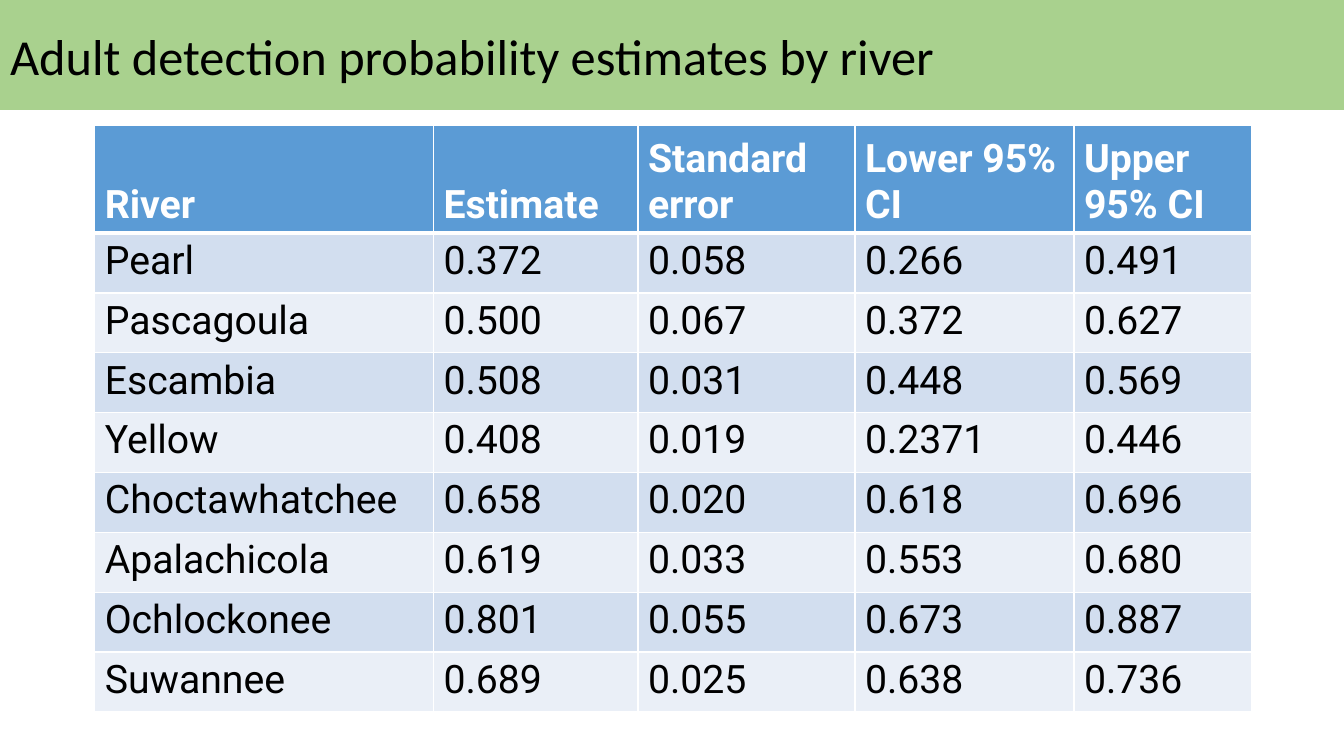
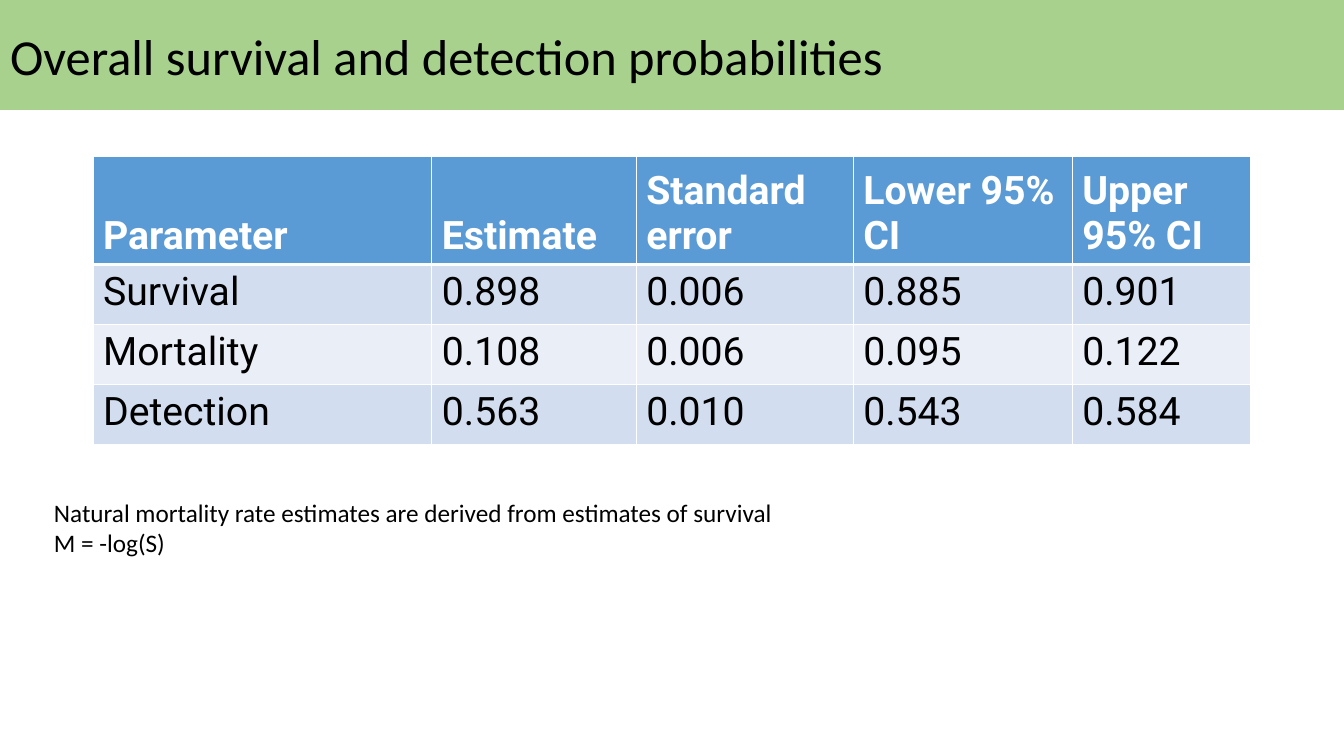
from pptx import Presentation
from pptx.dml.color import RGBColor
from pptx.enum.text import MSO_ANCHOR, MSO_AUTO_SIZE, PP_ALIGN
from pptx.oxml import parse_xml
from pptx.oxml.ns import nsdecls
from pptx.util import Pt

GREEN = RGBColor(0xA9, 0xD1, 0x8E)
BLUE = RGBColor(0x5B, 0x9B, 0xD5)
BANDS = RGBColor(0xD2, 0xDE, 0xEF), RGBColor(0xEA, 0xEF, 0xF7)
WHITE = RGBColor(0xFF, 0xFF, 0xFF)
BLACK = RGBColor(0, 0, 0)

WIDTH, HEIGHT = 960, 540
BAR = 78.5
COLS = [242, 146, 155, 156.5, 127]
HEAD, ROW = 77, 42.75

STATS = ["Estimate", "Standard error", "Lower 95% CI", "Upper 95% CI"]
SLIDES = [
    {
        "title": "Adult detection probability estimates by river",
        "at": (67.7, 89.5),
        "rows": [
            ["River", *STATS],
            ["Pearl", "0.372", "0.058", "0.266", "0.491"],
            ["Pascagoula", "0.500", "0.067", "0.372", "0.627"],
            ["Escambia", "0.508", "0.031", "0.448", "0.569"],
            ["Yellow", "0.408", "0.019", "0.2371", "0.446"],
            ["Choctawhatchee", "0.658", "0.020", "0.618", "0.696"],
            ["Apalachicola", "0.619", "0.033", "0.553", "0.680"],
            ["Ochlockonee", "0.801", "0.055", "0.673", "0.887"],
            ["Suwannee", "0.689", "0.025", "0.638", "0.736"],
        ],
        "note": [],
    },
    {
        "title": "Overall survival and detection probabilities",
        "at": (66.5, 112),
        "rows": [
            ["Parameter", *STATS],
            ["Survival", "0.898", "0.006", "0.885", "0.901"],
            ["Mortality", "0.108", "0.006", "0.095", "0.122"],
            ["Detection", "0.563", "0.010", "0.543", "0.584"],
        ],
        "note": [
            "Natural mortality rate estimates are derived from estimates of survival",
            "M = -log(S)",
        ],
    },
]


def style(para, name, size, color, bold=False):
    font = para.font
    font.name, font.size, font.bold = name, Pt(size), bold
    font.color.rgb = color


def place(shape, left, top, width, height):
    shape.left, shape.top = Pt(left), Pt(top)
    shape.width, shape.height = Pt(width), Pt(height)


def add_title(slide, text):
    title = slide.shapes.title
    place(title, 0, 0, WIDTH, BAR)
    title.fill.solid()
    title.fill.fore_color.rgb = GREEN
    frame = title.text_frame
    frame.text = text
    frame.auto_size = MSO_AUTO_SIZE.NONE
    frame.vertical_anchor = MSO_ANCHOR.MIDDLE
    para = frame.paragraphs[0]
    para.alignment = PP_ALIGN.LEFT
    style(para, "Calibri", 36, BLACK)


def edge(cell, side, width):
    """Draw a white border on one side (L, R, T or B) of a cell."""
    cell._tc.get_or_add_tcPr().append(parse_xml(
        f'<a:ln{side} {nsdecls("a")} w="{Pt(width)}"><a:solidFill>'
        f'<a:srgbClr val="{WHITE}"/></a:solidFill></a:ln{side}>'))


def fill_cell(cell, text, row):
    head = row == 0
    for side in "LRTB":
        thick = (head and side == "B") or (row == 1 and side == "T")
        edge(cell, side, 3 if thick else 1)
    cell.fill.solid()
    cell.fill.fore_color.rgb = BLUE if head else BANDS[(row - 1) % 2]
    cell.vertical_anchor = MSO_ANCHOR.BOTTOM if head else MSO_ANCHOR.TOP
    cell.text = text
    style(cell.text_frame.paragraphs[0], "Roboto", 28,
          WHITE if head else BLACK, head)


def add_grid(slide, rows, left, top):
    tall = HEAD + ROW * (len(rows) - 1)
    table = slide.shapes.add_table(
        len(rows), len(COLS), Pt(left), Pt(top), Pt(sum(COLS)), Pt(tall)).table
    for col, width in zip(table.columns, COLS):
        col.width = Pt(width)
    for r, row in enumerate(rows):
        table.rows[r].height = Pt(ROW if r else HEAD)
        for c, text in enumerate(row):
            fill_cell(table.cell(r, c), text, r)


def add_note(slide, lines):
    box = slide.shapes.add_textbox(Pt(31.5), Pt(351.5), Pt(917), Pt(51))
    frame = box.text_frame
    frame.word_wrap = True
    frame.text = "\n".join(lines)
    for para in frame.paragraphs:
        style(para, "Calibri", 18, BLACK)


def main():
    deck = Presentation()
    deck.slide_width, deck.slide_height = Pt(WIDTH), Pt(HEIGHT)
    layout = deck.slide_layouts.get_by_name("Title Only")
    for item in SLIDES:
        slide = deck.slides.add_slide(layout)
        add_title(slide, item["title"])
        add_grid(slide, item["rows"], *item["at"])
        if item["note"]:
            add_note(slide, item["note"])
    deck.save("out.pptx")


if __name__ == "__main__":
    main()
